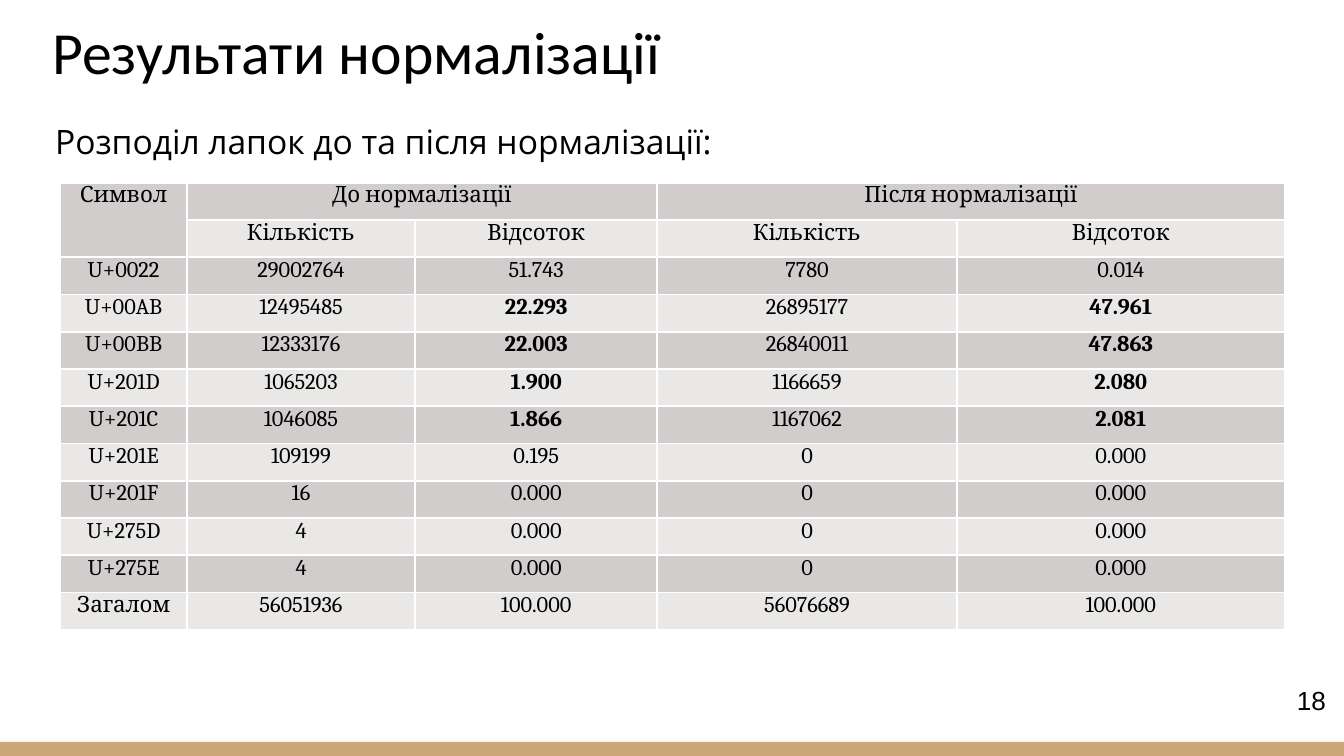
from lxml.etree import SubElement
from pptx import Presentation
from pptx.dml.color import RGBColor
from pptx.enum.shapes import MSO_SHAPE
from pptx.enum.text import MSO_ANCHOR, PP_ALIGN
from pptx.oxml.ns import qn
from pptx.util import Inches, Pt

BLACK = RGBColor(0x00, 0x00, 0x00)
WHITE = RGBColor(0xFF, 0xFF, 0xFF)
SAND = RGBColor(0xCC, 0xA6, 0x77)
DARK_BAND = RGBColor(0xD1, 0xCD, 0xCC)
LIGHT_BAND = RGBColor(0xE9, 0xE8, 0xE7)

COLUMN_WIDTHS = (0.94, 1.7, 1.8, 2.23, 2.44)
QUOTE_COUNTS = [
    ("Символ", "До нормалізації", "", "Після нормалізації", ""),
    ("", "Кількість", "Відсоток", "Кількість", "Відсоток"),
    ("U+0022", "29002764", "51.743", "7780", "0.014"),
    ("U+00AB", "12495485", "22.293", "26895177", "47.961"),
    ("U+00BB", "12333176", "22.003", "26840011", "47.863"),
    ("U+201D", "1065203", "1.900", "1166659", "2.080"),
    ("U+201C", "1046085", "1.866", "1167062", "2.081"),
    ("U+201E", "109199", "0.195", "0", "0.000"),
    ("U+201F", "16", "0.000", "0", "0.000"),
    ("U+275D", "4", "0.000", "0", "0.000"),
    ("U+275E", "4", "0.000", "0", "0.000"),
    ("Загалом", "56051936", "100.000", "56076689", "100.000"),
]
PAIRED_QUOTES = {"U+00AB", "U+00BB", "U+201D", "U+201C"}
PERCENT_COLUMNS = {2, 4}


def style_text(paragraph, font_name, size, bold=False):
    font = paragraph.font
    font.name = font_name
    font.size = Pt(size)
    font.bold = bold
    font.color.rgb = BLACK


def add_label(slide, box, text, font_name, size, inset=0.05, wrap=False,
              anchor=MSO_ANCHOR.TOP):
    frame = slide.shapes.add_textbox(*map(Inches, box)).text_frame
    frame.margin_left = frame.margin_right = Inches(inset)
    frame.margin_top = frame.margin_bottom = Inches(inset)
    frame.word_wrap = wrap
    frame.vertical_anchor = anchor
    frame.text = text
    style_text(frame.paragraphs[0], font_name, size)


def add_footer_band(slide, box):
    band = slide.shapes.add_shape(MSO_SHAPE.RECTANGLE, *map(Inches, box))
    band.shadow.inherit = False
    band.fill.solid()
    band.fill.fore_color.rgb = SAND
    band.line.fill.background()


def add_borders(cell):
    properties = cell._tc.get_or_add_tcPr()
    for side in ("a:lnL", "a:lnR", "a:lnT", "a:lnB"):
        line = SubElement(properties, qn(side), w=str(Pt(1)))
        fill = SubElement(line, qn("a:solidFill"))
        SubElement(fill, qn("a:srgbClr"), val=str(WHITE))


def fill_cell(cell, text, band, bold):
    add_borders(cell)
    cell.fill.solid()
    cell.fill.fore_color.rgb = band
    cell.margin_left = cell.margin_right = Inches(0.1)
    cell.margin_top = cell.margin_bottom = 0
    cell.text = text
    paragraph = cell.text_frame.paragraphs[0]
    paragraph.alignment = PP_ALIGN.CENTER
    paragraph.space_before = Pt(12)
    style_text(paragraph, "Cambria", 12, bold)


def add_quote_table(slide, box):
    table = slide.shapes.add_table(
        len(QUOTE_COUNTS), len(COLUMN_WIDTHS), *map(Inches, box)).table
    table.first_row = False
    table.horz_banding = False
    for column, width in zip(table.columns, COLUMN_WIDTHS):
        column.width = Inches(width)
    for row, values in enumerate(QUOTE_COUNTS):
        band = LIGHT_BAND if row % 2 else DARK_BAND
        for column, value in enumerate(values):
            bold = values[0] in PAIRED_QUOTES and column in PERCENT_COLUMNS
            fill_cell(table.cell(row, column), value, band, bold)
    table.cell(0, 0).merge(table.cell(1, 0))
    for column in (1, 3):
        table.cell(0, column).merge(table.cell(0, column + 1))


def main():
    presentation = Presentation()
    presentation.slide_width = Inches(10)
    presentation.slide_height = presentation.slide_width * 9 // 16
    slide = presentation.slides.add_slide(presentation.slide_layouts[6])
    add_footer_band(slide, (0, 5.52, 10, 0.11))
    add_label(slide, (0.29, -0.17, 9.32, 0.91), "Результати нормалізації",
              "Calibri", 32, inset=0.1, wrap=True, anchor=MSO_ANCHOR.BOTTOM)
    add_label(slide, (9.6, 5.04, 0.33, 0.32), "18", "Arial", 14)
    add_label(slide, (0.36, 0.85, 5, 0.43),
              "Розподіл лапок до та після нормалізації:", "Open Sans", 18)
    add_quote_table(slide, (0.45, 1.36, sum(COLUMN_WIDTHS), 3.33))
    presentation.save("out.pptx")


if __name__ == "__main__":
    main()
